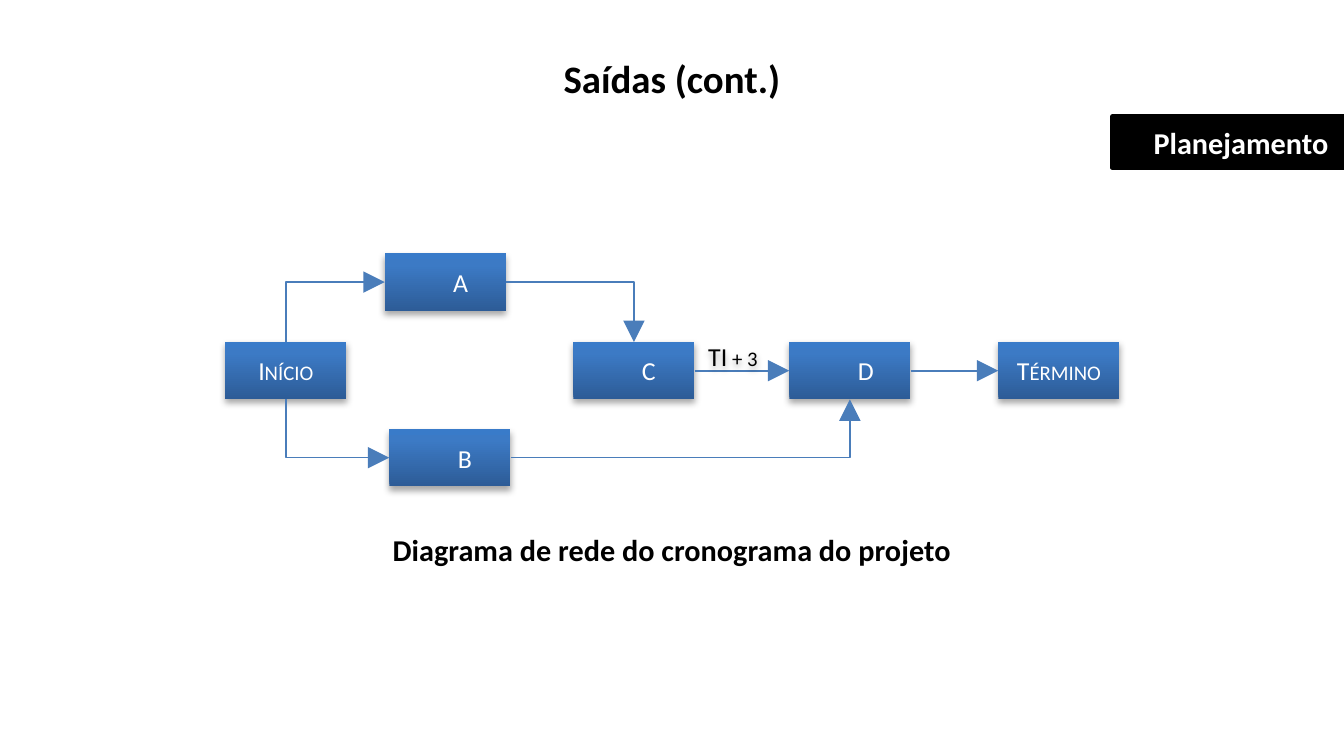
from copy import deepcopy
from dataclasses import dataclass

from lxml.etree import SubElement
from pptx import Presentation
from pptx.dml.color import RGBColor
from pptx.enum.shapes import MSO_CONNECTOR as Link, MSO_SHAPE as Preset
from pptx.enum.text import MSO_ANCHOR as Anchor, PP_ALIGN as Align
from pptx.oxml.ns import qn
from pptx.util import Emu, Inches, Pt

BLACK = RGBColor(0x00, 0x00, 0x00)
WHITE = RGBColor(0xFF, 0xFF, 0xFF)
ARROW_BLUE = RGBColor(0x4A, 0x7D, 0xBA)
BOX_GRADIENT = (
    (0, RGBColor(0x2D, 0x5C, 0x97)),
    (0.8, RGBColor(0x3C, 0x7A, 0xC5)),
    (1, RGBColor(0x39, 0x7B, 0xC9)),
)
FONT = "Calibri"
SLIDE_WIDTH, SLIDE_HEIGHT = Inches(8.65), Inches(4.69)
TASK_WIDTH, TASK_HEIGHT = 9.02, 7.89
TOP_ROW, MIDDLE_ROW, BOTTOM_ROW = 34.75, 46.91, 58.85


@dataclass(frozen=True)
class Area:
    left: float
    top: float
    width: float
    height: float

    def emu(self) -> tuple[Emu, Emu, Emu, Emu]:
        return (across(self.left), down(self.top),
                across(self.width), down(self.height))


@dataclass(frozen=True)
class Task:
    name: str
    left: float
    top: float

    def area(self) -> Area:
        return Area(self.left, self.top, TASK_WIDTH, TASK_HEIGHT)

    def port(self, side: str) -> tuple[Emu, Emu]:
        x_share, y_share = {"left": (0, 0.5), "right": (1, 0.5),
                            "top": (0.5, 0), "bottom": (0.5, 1)}[side]
        return (across(self.left + x_share * TASK_WIDTH),
                down(self.top + y_share * TASK_HEIGHT))


@dataclass(frozen=True)
class Dependency:
    source: Task
    exit_side: str
    target: Task
    entry_side: str


@dataclass(frozen=True)
class Caption:
    text: str
    area: Area
    size: int
    bold: bool = True
    align: Align = Align.CENTER


START = Task("Início", 16.76, MIDDLE_ROW)
TASK_A = Task("A", 28.63, TOP_ROW)
TASK_B = Task("B", 28.97, BOTTOM_ROW)
TASK_C = Task("C", 42.66, MIDDLE_ROW)
TASK_D = Task("D", 58.73, MIDDLE_ROW)
FINISH = Task("Término", 74.28, MIDDLE_ROW)
TASKS = (START, TASK_C, TASK_B, TASK_A, TASK_D, FINISH)
DEPENDENCIES = (
    Dependency(START, "top", TASK_A, "left"),
    Dependency(START, "bottom", TASK_B, "left"),
    Dependency(TASK_B, "right", TASK_D, "bottom"),
    Dependency(TASK_A, "right", TASK_C, "top"),
    Dependency(TASK_C, "right", TASK_D, "left"),
    Dependency(TASK_D, "right", FINISH, "left"),
)
TITLE = Caption("Saídas (cont.)", Area(0, 6.4, 100, 8.53), 18)
PHASE = Caption("Planejamento", Area(82.77, 15.99, 17.23, 7.04), 14,
                align=Align.RIGHT)
LAG = Caption("TI + 3", Area(51.56, 45.63, 7.28, 5.97), 12, False, Align.LEFT)
DIAGRAM_NAME = Caption("Diagrama de rede do cronograma do projeto",
                       Area(27.98, 71.86, 44.05, 7.25), 14)


def across(percent: float) -> Emu:
    return Emu(round(SLIDE_WIDTH * percent / 100))


def down(percent: float) -> Emu:
    return Emu(round(SLIDE_HEIGHT * percent / 100))


def write(shape, text: str, size: int, color: RGBColor, bold: bool,
          align: Align, small_caps: bool = False) -> None:
    frame = shape.text_frame
    frame.word_wrap = True
    frame.text = text
    paragraph = frame.paragraphs[0]
    paragraph.alignment = align
    font = paragraph.runs[0].font
    font.name, font.size, font.bold = FONT, Pt(size), bold
    font.color.rgb = color
    if small_caps:
        paragraph.runs[0]._r.get_or_add_rPr().set("cap", "small")


def cast_shadow(shape) -> None:
    shape.shadow.inherit = False
    effects = shape.element.spPr.find(qn("a:effectLst"))
    shadow = SubElement(effects, qn("a:outerShdw"), blurRad="40000",
                        dist="23000", dir="5400000", rotWithShape="0")
    tint = SubElement(shadow, qn("a:srgbClr"), val=str(BLACK))
    SubElement(tint, qn("a:alpha"), val="35000")


def draw_caption(slide, caption: Caption, small_caps: bool = False):
    box = slide.shapes.add_textbox(*caption.area.emu())
    write(box, caption.text, caption.size, BLACK, caption.bold,
          caption.align, small_caps)
    return box


def draw_phase(slide, phase: Caption) -> None:
    tag = slide.shapes.add_shape(Preset.RECTANGLE, *phase.area.emu())
    tag.shadow.inherit = False
    tag.fill.solid()
    tag.fill.fore_color.rgb = BLACK
    tag.line.color.rgb = BLACK
    tag.line.width = Pt(2)
    tag.text_frame.vertical_anchor = Anchor.MIDDLE
    write(tag, phase.text, phase.size, WHITE, phase.bold, phase.align)


def draw_task(slide, task: Task) -> None:
    box = slide.shapes.add_shape(Preset.RECTANGLE, *task.area().emu())
    box.line.fill.background()
    box.fill.gradient()
    box.fill.gradient_angle = 90
    stops = box.element.spPr.find(qn("a:gradFill")).find(qn("a:gsLst"))
    stops.append(deepcopy(stops[0]))
    for stop, (position, color) in zip(box.fill.gradient_stops, BOX_GRADIENT):
        stop.position = position
        stop.color.rgb = color
    cast_shadow(box)
    box.text_frame.vertical_anchor = Anchor.MIDDLE
    if len(task.name) == 1:
        box.text_frame.margin_left = Inches(0.2)
    write(box, task.name, 12, WHITE, False, Align.CENTER, True)


def draw_dependency(slide, dependency: Dependency) -> None:
    x1, y1 = dependency.source.port(dependency.exit_side)
    x2, y2 = dependency.target.port(dependency.entry_side)
    bent = y1 != y2
    upright = dependency.exit_side in ("top", "bottom")
    if upright:
        mid_x, mid_y = (x1 + x2) // 2, (y1 + y2) // 2
        half_x, half_y = (x2 - x1) // 2, (y2 - y1) // 2
        x1, x2 = mid_x + half_y, mid_x - half_y
        y1, y2 = mid_y - half_x, mid_y + half_x
    kind = Link.ELBOW if bent else Link.STRAIGHT
    arrow = slide.shapes.add_connector(kind, x1, y1, x2, y2)
    properties = arrow.element.spPr
    if bent:
        properties.find(qn("a:prstGeom")).set("prst", "bentConnector2")
    if upright:
        properties.find(qn("a:xfrm")).set("rot", "16200000")
    arrow.line.color.rgb = ARROW_BLUE
    arrow.line.width = Pt(0.75)
    SubElement(properties.find(qn("a:ln")), qn("a:tailEnd"),
               type="triangle", w="lg", len="lg")
    SubElement(properties, qn("a:effectLst"))


def main() -> None:
    deck = Presentation()
    deck.slide_width, deck.slide_height = SLIDE_WIDTH, SLIDE_HEIGHT
    slide = deck.slides.add_slide(deck.slide_layouts[6])
    draw_caption(slide, TITLE)
    draw_phase(slide, PHASE)
    for task in TASKS:
        draw_task(slide, task)
    for dependency in DEPENDENCIES:
        draw_dependency(slide, dependency)
    cast_shadow(draw_caption(slide, LAG, small_caps=True))
    draw_caption(slide, DIAGRAM_NAME)
    deck.save("out.pptx")


if __name__ == "__main__":
    main()
